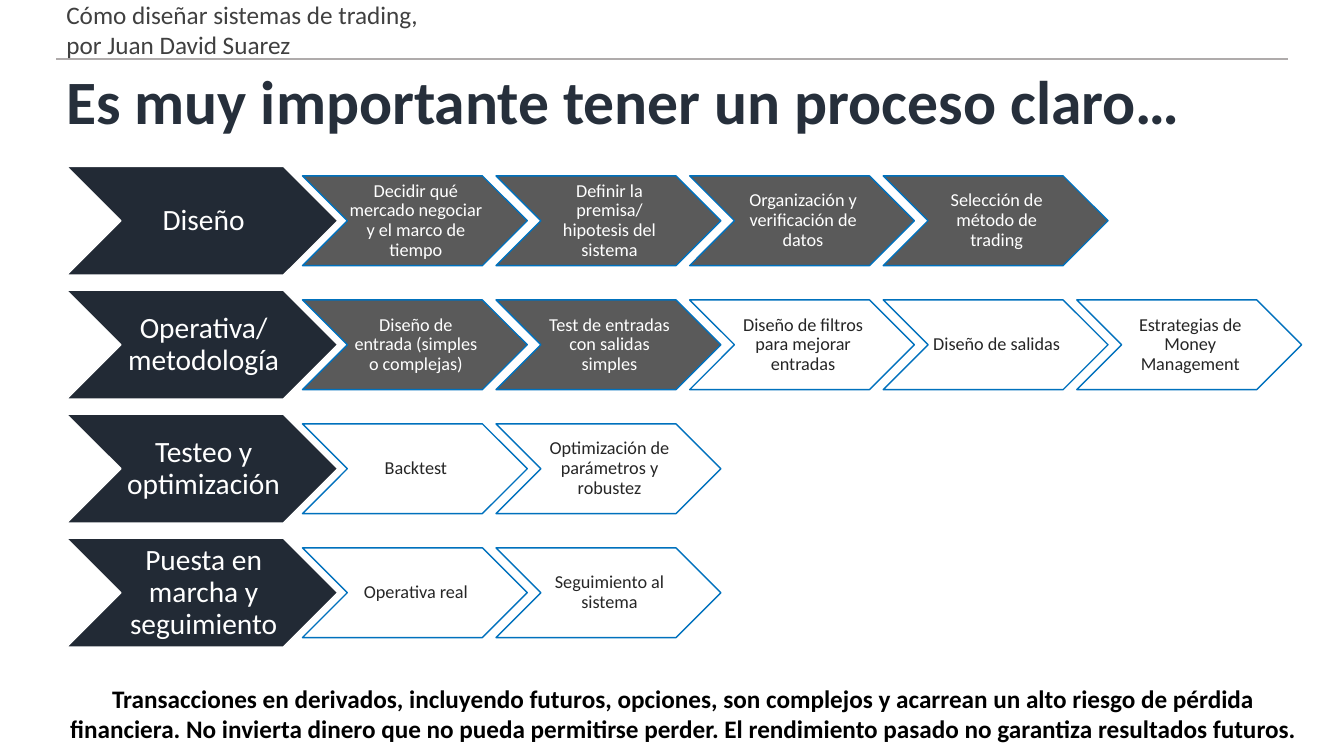
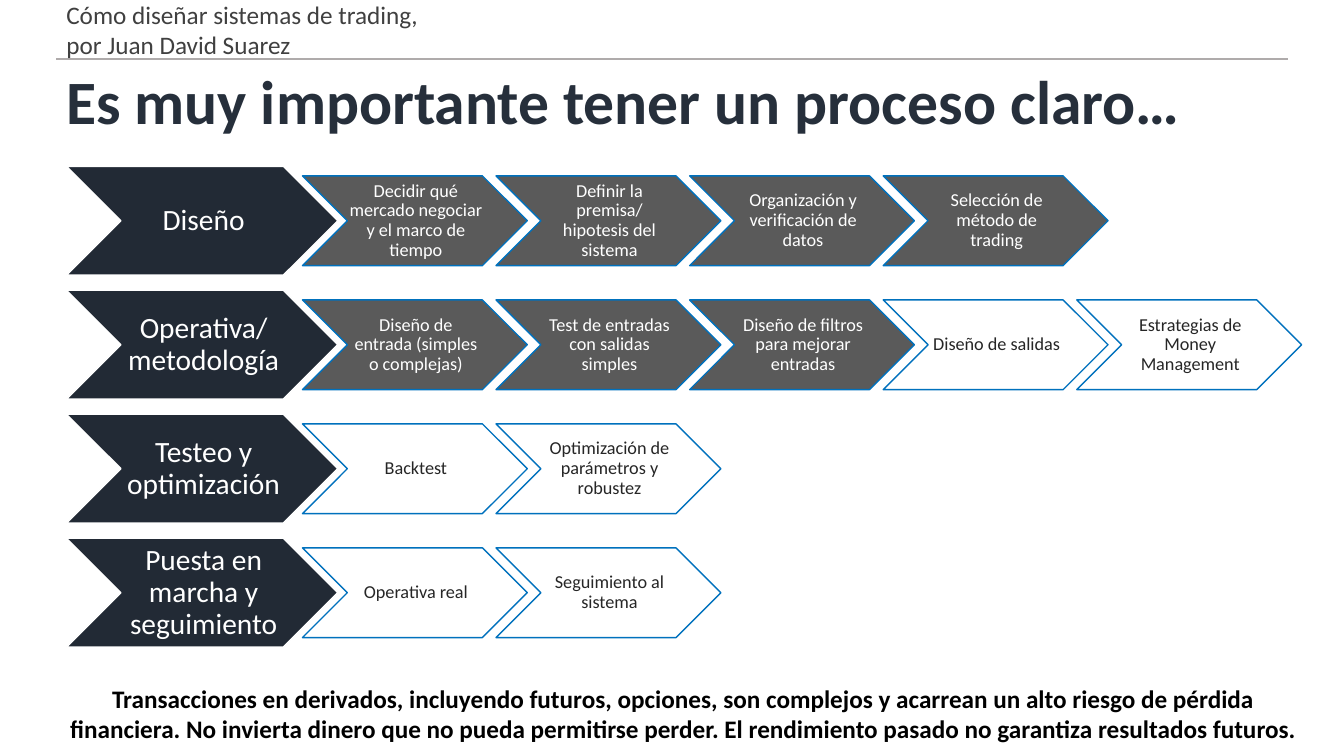
from lxml import etree
from pptx import Presentation
from pptx.dml.color import RGBColor
from pptx.enum import shapes, text
from pptx.oxml.ns import qn
from pptx.util import Inches, Pt

# Content
HEAD = "Cómo diseñar sistemas de trading, por Juan David Suarez"
TITLE = "Es muy importante tener un proceso claro…"
RISK = ("Transacciones en derivados, incluyendo futuros, opciones, son "
        "complejos y acarrean un alto riesgo de pérdida financiera. No "
        "invierta dinero que no pueda permitirse perder. El rendimiento "
        "pasado no garantiza resultados futuros.")
STAGES = [
    ("Diseño", ["Decidir qué mercado negociar y el marco de tiempo",
                "Definir la premisa/ hipotesis del sistema",
                "Organización y verificación de datos",
                "Selección de método de trading"]),
    ("Operativa/ metodología", ["Diseño de entrada (simples o complejas)",
                                "Test de entradas con salidas simples",
                                "Diseño de filtros para mejorar entradas",
                                "Diseño de salidas",
                                "Estrategias de Money Management"]),
    ("Testeo y optimización", ["Backtest",
                               "Optimización de parámetros y robustez"]),
    ("Puesta en marcha y seguimiento", ["Operativa real",
                                        "Seguimiento al sistema"]),
]
DONE = [(4, 2, 0, 0), (4, 3, 0, 0)]  # finished steps per stage, by slide

# Shared style
FONT = "Calibri"
NAVY, GRAY, BLUE, WHITE, INK = "222A35", "5A5A5A", "0071BD", "FFFFFF", "262626"
RULE = "AFABAB"
LEFT, TOP, ROW = 0.66, 1.65, 1.23
BIG, SMALL = (2.69, 1.08), (2.23, 0.89)
START, PITCH = 3, 1.92
PAD = (0.1, 0.05, 0.1, 0.05)
CENTER, START_AL = text.PP_ALIGN.CENTER, text.PP_ALIGN.LEFT


def color(code):
    return RGBColor.from_string(code)


def write(shape, words, size, code, bold=False, align=CENTER, space=1.0,
          pad=PAD):
    frame = shape.text_frame
    sides = ("margin_left", "margin_top", "margin_right", "margin_bottom")
    form = dict(zip(sides, map(Inches, pad)), word_wrap=True,
                vertical_anchor=text.MSO_ANCHOR.MIDDLE)
    for key, val in form.items():
        setattr(frame, key, val)
    para = frame.paragraphs[0]
    para.alignment, para.line_spacing = align, space
    run = para.add_run()
    run.text = words
    for key, val in dict(name=FONT, size=Pt(size), bold=bold).items():
        setattr(run.font, key, val)
    run.font.color.rgb = color(code)


def label(slide, box, words, size, code, **form):
    write(slide.shapes.add_textbox(*map(Inches, box)), words, size, code,
          **form)


def chevron(slide, x, y, dims, words, size, fill, edge, ink, pad):
    shape = slide.shapes.add_shape(shapes.MSO_SHAPE.CHEVRON,
                                   *map(Inches, (x, y, *dims)))
    shape.shadow.inherit = False
    if fill:
        shape.fill.solid()
        shape.fill.fore_color.rgb = color(fill)
    else:
        shape.fill.background()
    shape.line.color.rgb = color(edge)
    shape.line.width = Pt(1)
    write(shape, words, size, ink, space=0.9, pad=pad)


def frame(slide):
    # Header rule, header, risk notice and title
    rule = slide.shapes.add_connector(
        shapes.MSO_CONNECTOR.STRAIGHT,
        *map(Inches, (0.56, 0.59, 12.77, 0.59)))
    rule.line.color.rgb = color(RULE)
    rule.line.width = Pt(1.5)
    etree.SubElement(rule._element.spPr, qn("a:effectLst"))
    label(slide, (0.56, 0.12, 3.93, 0.34), HEAD, 18, "404040", align=START_AL)
    label(slide, (0.56, 6.76, 12.44, 0.63), RISK, 18, "000000", bold=True)
    label(slide, (0.56, 0.64, 12.2, 0.79), TITLE, 44, "262F3B", bold=True,
          align=START_AL, space=0.9)


def process(slide, done):
    # One row per stage, its steps centred on the stage arrow
    drop = (BIG[1] - SMALL[1]) / 2
    for row, (stage, steps) in enumerate(STAGES):
        y = TOP + row * ROW
        chevron(slide, LEFT, y, BIG, stage, 21, NAVY, WHITE, WHITE,
                (0.03, 0.01, 0, 0.01))
        for col, step in enumerate(steps):
            fill, ink = (GRAY, WHITE) if col < done[row] else (None, INK)
            chevron(slide, START + col * PITCH, y + drop, SMALL, step, 13,
                    fill, BLUE, ink, (0.02, 0.01, 0, 0.01))


def main():
    deck = Presentation()
    deck.slide_width, deck.slide_height = Inches(13.33), Inches(7.5)
    for done in DONE:
        slide = deck.slides.add_slide(deck.slide_layouts[6])
        frame(slide)
        process(slide, done)
    deck.save("out.pptx")


if __name__ == "__main__":
    main()
